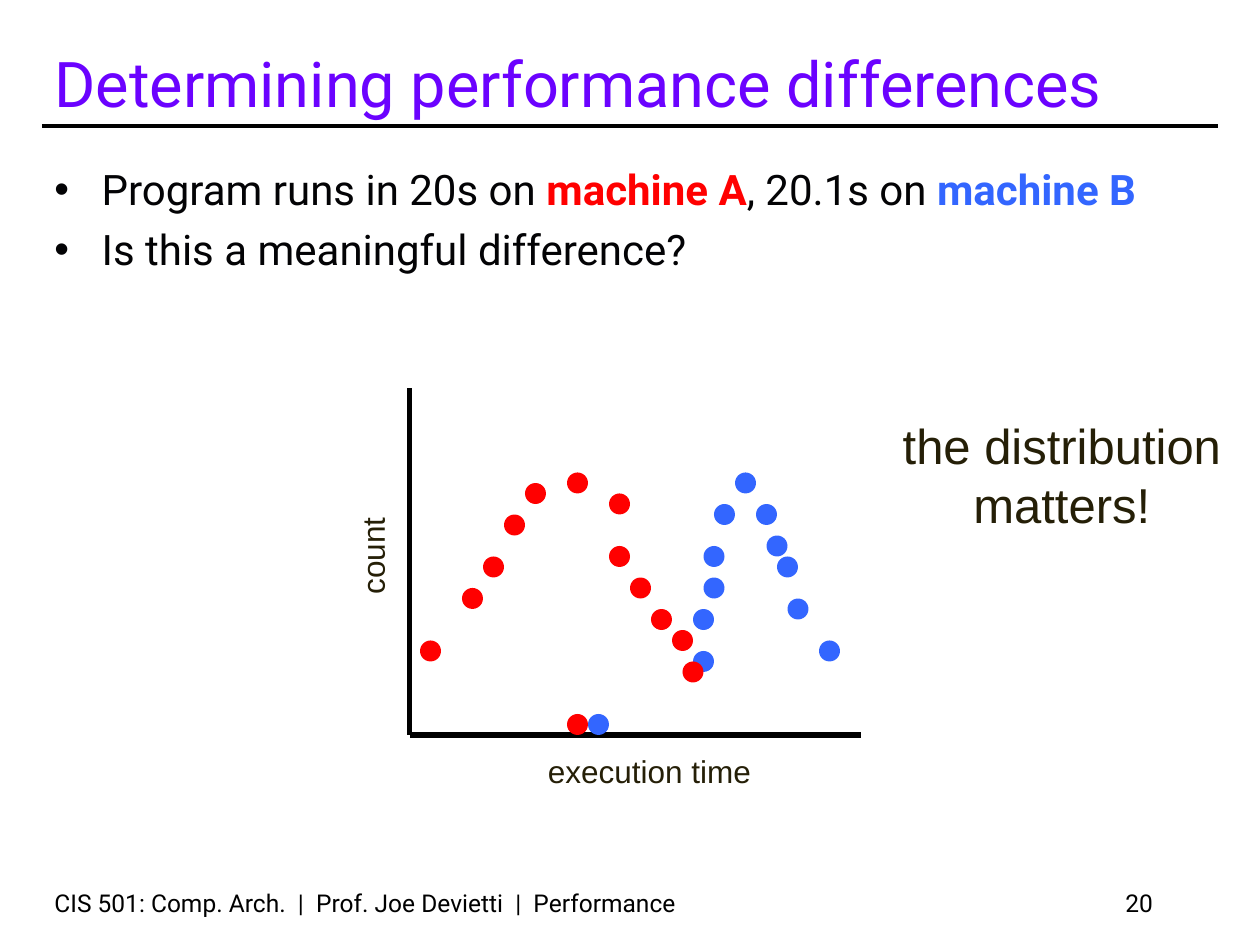
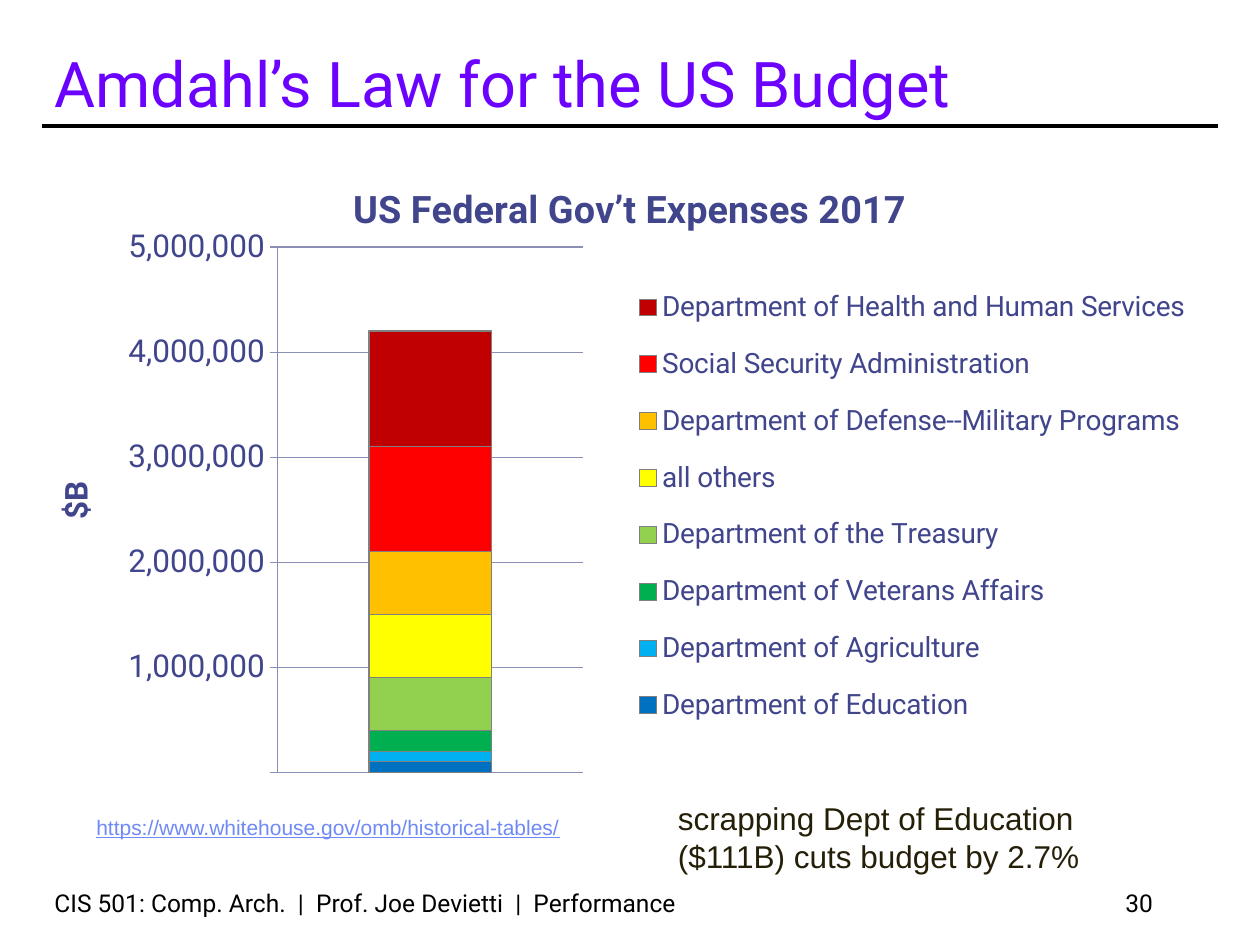
import pptx
import pptx.chart.data
import pptx.dml.color
import pptx.enum.chart
import pptx.enum.shapes
import pptx.enum.text
import pptx.oxml
import pptx.oxml.ns
import pptx.util
from lxml import etree

RGBColor = pptx.dml.color.RGBColor
Pt = pptx.util.Pt
ALIGN = pptx.enum.text.PP_ALIGN
ANCHOR = pptx.enum.text.MSO_ANCHOR
qn = pptx.oxml.ns.qn

PX = 9525  # EMU per px, 96 px to the inch
STEP = 8  # px per step of the dot plot

BLACK = RGBColor(0x00, 0x00, 0x00)
INK = RGBColor(0x03, 0x03, 0x05)
NOTE = RGBColor(0x25, 0x1F, 0x07)
PURPLE = RGBColor(0x6B, 0x02, 0xFF)
RED = RGBColor(0xFF, 0x00, 0x00)
BLUE = RGBColor(0x33, 0x66, 0xFF)
LINK = RGBColor(0x6F, 0x89, 0xF7)
CHART_TEXT = RGBColor(0x40, 0x45, 0x8C)
GRID = RGBColor(0x8C, 0x8F, 0xB5)
BAR_EDGE = RGBColor(0x80, 0x80, 0x80)
BODY_FONT, NOTE_FONT = "Roboto", "Arial"

# Content
FOOTER = "CIS 501: Comp. Arch.  |  Prof. Joe Devietti  |  Performance"

BULLETS = [
    [("Program runs in 20s on ", INK, False), ("machine A", RED, True),
     (", 20.1s on ", INK, False), ("machine B", BLUE, True)],
    [("Is this a meaningful difference?", INK, False)],
]

# Dot centres, in steps right of and above the origin of the axes
ORIGIN = (312, 560)
AXIS_ENDS = [(312, 296), (656, 560)]
MACHINE_B = [(18, 1), (28, 7), (28, 11), (29, 14), (29, 17), (30, 21), (32, 24),
             (34, 21), (35, 18), (36, 16), (37, 12), (40, 8)]
MACHINE_A = [(16, 1), (2, 8), (6, 13), (8, 16), (10, 20), (12, 23), (16, 24),
             (20, 22), (20, 17), (22, 14), (24, 11), (26, 9), (27, 6)]

EXPENSES = [
    ("Department of Education", 100000, RGBColor(0x00, 0x70, 0xC0)),
    ("Department of Agriculture", 100000, RGBColor(0x00, 0xB0, 0xF0)),
    ("Department of Veterans Affairs", 200000, RGBColor(0x00, 0xB0, 0x50)),
    ("Department of the Treasury", 500000, RGBColor(0x92, 0xD0, 0x50)),
    ("all others", 600000, RGBColor(0xFF, 0xFF, 0x00)),
    ("Department of Defense--Military Programs", 600000, RGBColor(0xFF, 0xC0, 0x00)),
    ("Social Security Administration", 1000000, RGBColor(0xFF, 0x00, 0x00)),
    ("Department of Health and Human Services", 1100000, RGBColor(0xC0, 0x00, 0x00)),
]


def box(*lengths):
    return [length * PX for length in lengths]


def style_font(font, size, color, name, bold=False):
    font.size, font.name, font.bold = Pt(size), name, bold
    font.color.rgb = color


def add_text(slide, place, text, size, color, name, align=ALIGN.LEFT,
             anchor=ANCHOR.TOP, wrap=True):
    shape = slide.shapes.add_textbox(*box(*place))
    frame = shape.text_frame
    frame.word_wrap, frame.vertical_anchor = wrap, anchor
    paragraph = frame.paragraphs[0]
    paragraph.text, paragraph.alignment = text, align
    style_font(paragraph.font, size, color, name)
    return shape


def add_line(slide, start, end, width):
    line = slide.shapes.add_connector(
        pptx.enum.shapes.MSO_CONNECTOR.STRAIGHT, *box(*start, *end))
    line.line.color.rgb, line.line.width = BLACK, Pt(width)
    etree.SubElement(line._element.spPr, qn("a:effectLst"))


def add_slide(presentation, title, number):
    """Blank slide with the shared title, rule and footer."""
    slide = presentation.slides.add_slide(presentation.slide_layouts[6])
    add_line(slide, (32, 96), (928, 96), 2.25)
    add_text(slide, (32, 24, 896, 72), title, 36, PURPLE, BODY_FONT, anchor=ANCHOR.BOTTOM)
    add_text(slide, (32, 672, 800, 32), FOOTER, 14, BLACK, BODY_FONT, anchor=ANCHOR.BOTTOM)
    add_text(slide, (688, 672, 200, 32), str(number), 14, BLACK, BODY_FONT,
             ALIGN.RIGHT, ANCHOR.BOTTOM)
    return slide


def add_bullets(slide, place, bullets):
    frame = slide.shapes.add_textbox(*box(*place)).text_frame
    frame.word_wrap = True
    for index, runs in enumerate(bullets):
        paragraph = frame.add_paragraph() if index else frame.paragraphs[0]
        if index:
            paragraph.space_before = Pt(5.5)
        properties = paragraph._p.get_or_add_pPr()
        properties.set("marL", str(36 * PX))
        properties.set("indent", str(-36 * PX))
        etree.SubElement(properties, qn("a:buFont")).set("typeface", NOTE_FONT)
        etree.SubElement(properties, qn("a:buChar")).set("char", "•")
        for text, color, bold in runs:
            run = paragraph.add_run()
            run.text = text
            style_font(run.font, 24, color, BODY_FONT, bold)


def add_dots(slide, centres, color):
    for right, above in centres:
        left = ORIGIN[0] + (right - 1) * STEP
        top = ORIGIN[1] - (above + 1) * STEP
        dot = slide.shapes.add_shape(pptx.enum.shapes.MSO_SHAPE.OVAL,
                                     *box(left, top, 2 * STEP, 2 * STEP))
        dot.shadow.inherit = False
        dot.fill.solid()
        dot.fill.fore_color.rgb = color
        dot.line.fill.background()


def make_layout(x, y, w, h, inner=False):
    """Manual chart layout, in fractions of the chart area."""
    layout = etree.Element(qn("c:layout"))
    manual = etree.SubElement(layout, qn("c:manualLayout"))
    settings = [("layoutTarget", "inner")] if inner else []
    settings += [("xMode", "edge"), ("yMode", "edge"),
                 ("x", x), ("y", y), ("w", w), ("h", h)]
    for tag, value in settings:
        etree.SubElement(manual, qn("c:" + tag)).set("val", str(value))
    return layout


def set_title(owner, text, size):
    frame = owner.text_frame
    frame.text = text
    style_font(frame.paragraphs[0].font, size, CHART_TEXT, BODY_FONT, True)


def add_budget_chart(slide, place):
    data = pptx.chart.data.CategoryChartData()
    data.categories = ["1"]
    for name, value, _ in EXPENSES:
        data.add_series(name, [value])
    chart = slide.shapes.add_chart(
        pptx.enum.chart.XL_CHART_TYPE.COLUMN_STACKED, *box(*place), data).chart
    style_font(chart.font, 18, CHART_TEXT, BODY_FONT)
    chart.has_title = True
    set_title(chart.chart_title, "US Federal Gov’t Expenses 2017", 21.6)

    # Bars
    plot = chart.plots[0]
    plot.gap_width, plot.overlap, plot.vary_by_categories = 150, 100, False
    for series, (_, _, color) in zip(plot.series, EXPENSES):
        series.format.fill.solid()
        series.format.fill.fore_color.rgb = color
        series.format.line.color.rgb = BAR_EDGE
        series.format.line.width = Pt(0.75)

    # Axes
    tick = pptx.enum.chart.XL_TICK_MARK
    values, category = chart.value_axis, chart.category_axis
    values.minimum_scale, values.maximum_scale, values.major_unit = 0, 5000000, 1000000
    values.major_tick_mark = tick.OUTSIDE
    values.tick_labels.number_format = "#,###"
    values.tick_labels.number_format_is_linked = False
    set_title(values.axis_title, "$B", 18)
    category.major_tick_mark = tick.NONE
    category.tick_label_position = pptx.enum.chart.XL_TICK_LABEL_POSITION.NONE
    for part in (values, category, values.major_gridlines):
        part.format.line.color.rgb = GRID
        part.format.line.width = Pt(0.75)

    # Legend and plot positions
    chart.has_legend = True
    legend = chart.legend
    legend.position = pptx.enum.chart.XL_LEGEND_POSITION.RIGHT
    legend.include_in_layout = False
    style_font(legend.font, 16, CHART_TEXT, BODY_FONT)
    for parent in (legend._element, chart._chartSpace.chart.plotArea):
        for layout in parent.findall(qn("c:layout")):
            parent.remove(layout)
    legend._element.find(qn("c:legendPos")).addnext(make_layout(0.5, 0.17, 0.48, 0.75))
    chart._chartSpace.chart.plotArea.insert(0, make_layout(0.2, 0.14, 0.26, 0.82, True))


def build_distribution_slide(presentation):
    slide = add_slide(presentation, "Determining performance differences", 20)
    add_bullets(slide, (32, 120, 896, 536), BULLETS)
    for end in AXIS_ENDS:
        add_line(slide, ORIGIN, end, 3)
    count = add_text(slide, (244, 404, 79, 38), "count", 18, NOTE, NOTE_FONT, wrap=False)
    count.rotation = 270
    add_text(slide, (408, 568, 176, 38), "execution time", 18, NOTE, NOTE_FONT, wrap=False)
    add_dots(slide, MACHINE_B, BLUE)
    add_dots(slide, MACHINE_A, RED)
    add_text(slide, (672, 312, 274, 100), "the distribution matters!", 28, NOTE,
             NOTE_FONT, ALIGN.CENTER)


def build_budget_slide(presentation):
    slide = add_slide(presentation, "Amdahl’s Law for the US Budget", 30)
    add_budget_chart(slide, (32, 120, 896, 488))
    source = add_text(slide, (64, 616, 379, 29),
                      "https://www.whitehouse.gov/omb/historical-tables/",
                      12, LINK, NOTE_FONT, wrap=False)
    source.text_frame.paragraphs[0].font.underline = True
    add_text(slide, (507, 604, 325, 68),
             "scrapping Dept of Education ($111B) cuts budget by 2.7%", 18, NOTE, NOTE_FONT)


def main():
    presentation = pptx.Presentation()
    presentation.slide_width, presentation.slide_height = box(960, 720)
    build_distribution_slide(presentation)
    build_budget_slide(presentation)
    presentation.save("out.pptx")


if __name__ == "__main__":
    main()
